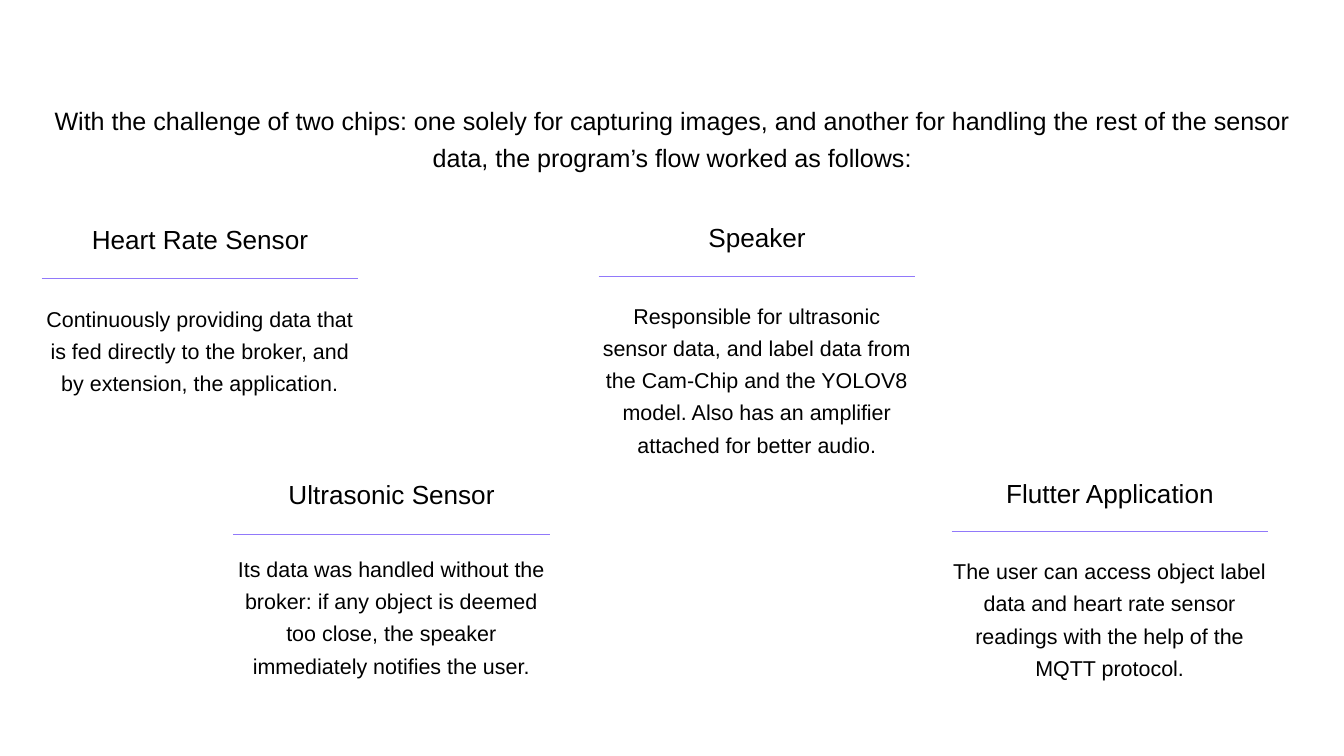
from pptx import Presentation
from pptx.dml.color import RGBColor
from pptx.enum.shapes import MSO_CONNECTOR
from pptx.enum.text import MSO_ANCHOR, PP_ALIGN
from pptx.oxml.ns import qn
from pptx.util import Inches, Pt
from lxml.etree import SubElement

WIDE = 4.71
BLACK = "000000"
VIOLET = "9179FA"

PARTS = [
    ("Heart Rate Sensor",
     "Continuously providing data that is fed directly to the broker, "
     "and by extension, the application.",
     0.62, (3.24, 4.15, 4.46), (0.51, 1.87), 1),
    ("Ultrasonic Sensor",
     "Its data was handled without the broker: if any object is deemed "
     "too close, the speaker immediately notifies the user.",
     3.47, (7.04, 7.95, 8.18), (0.51, 2.35), 1),
    ("Speaker",
     "Responsible for ultrasonic sensor data, and label data from the Cam-Chip "
     "and the YOLOV8 model. Also has an amplifier attached for better audio.",
     8.91, (3.22, 4.11, 4.41), (0.53, 2.84), 0.75),
    ("Flutter Application",
     "The user can access object label data and heart rate sensor readings "
     "with the help of the MQTT protocol.",
     14.16, (7.02, 7.91, 8.21), (0.53, 1.88), 0.75),
]


def color(code):
    return RGBColor.from_string(code)


def apply(target, values):
    for name, value in values.items():
        setattr(target, name, value)


def add_text(slide, text, left, top, width, height, size, pitch):
    box = slide.shapes.add_textbox(*map(Inches, (left, top, width, height)))
    frame = box.text_frame
    apply(frame, {"word_wrap": True, "vertical_anchor": MSO_ANCHOR.TOP,
                  "margin_left": 0, "margin_top": 0,
                  "margin_right": 0, "margin_bottom": 0})
    para = frame.paragraphs[0]
    apply(para, {"text": text, "alignment": PP_ALIGN.CENTER,
                 "line_spacing": Pt(pitch)})
    font = para.runs[0].font
    apply(font, {"name": "Arial", "size": Pt(size)})
    font.color.rgb = color(BLACK)


def add_rule(slide, left, top, weight):
    rule = slide.shapes.add_connector(
        MSO_CONNECTOR.STRAIGHT, Inches(left), Inches(top),
        Inches(left + WIDE), Inches(top))
    rule.line.width = Pt(weight)
    rule.line.color.rgb = color(VIOLET)
    SubElement(rule._element.spPr, qn("a:effectLst"))


def add_part(slide, title, body, left, tops, heights, weight):
    head, rule, text = tops
    add_text(slide, title, left, head, WIDE, heights[0], 28, 39.2)
    add_text(slide, body, left, text, WIDE, heights[1], 23, 34.5)
    add_rule(slide, left, rule, weight)


def main():
    deck = Presentation()
    apply(deck, {"slide_width": Inches(20), "slide_height": Inches(11.25)})
    slide = deck.slides.add_slide(deck.slide_layouts[6])
    add_text(slide,
             "With the challenge of two chips: one solely for capturing images, "
             "and another for handling the rest of the sensor data, "
             "the program’s flow worked as follows:",
             0.74, 1.45, 18.53, 1.07, 26.9, 40.4)
    for part in PARTS:
        add_part(slide, *part)
    deck.save("out.pptx")


if __name__ == "__main__":
    main()
